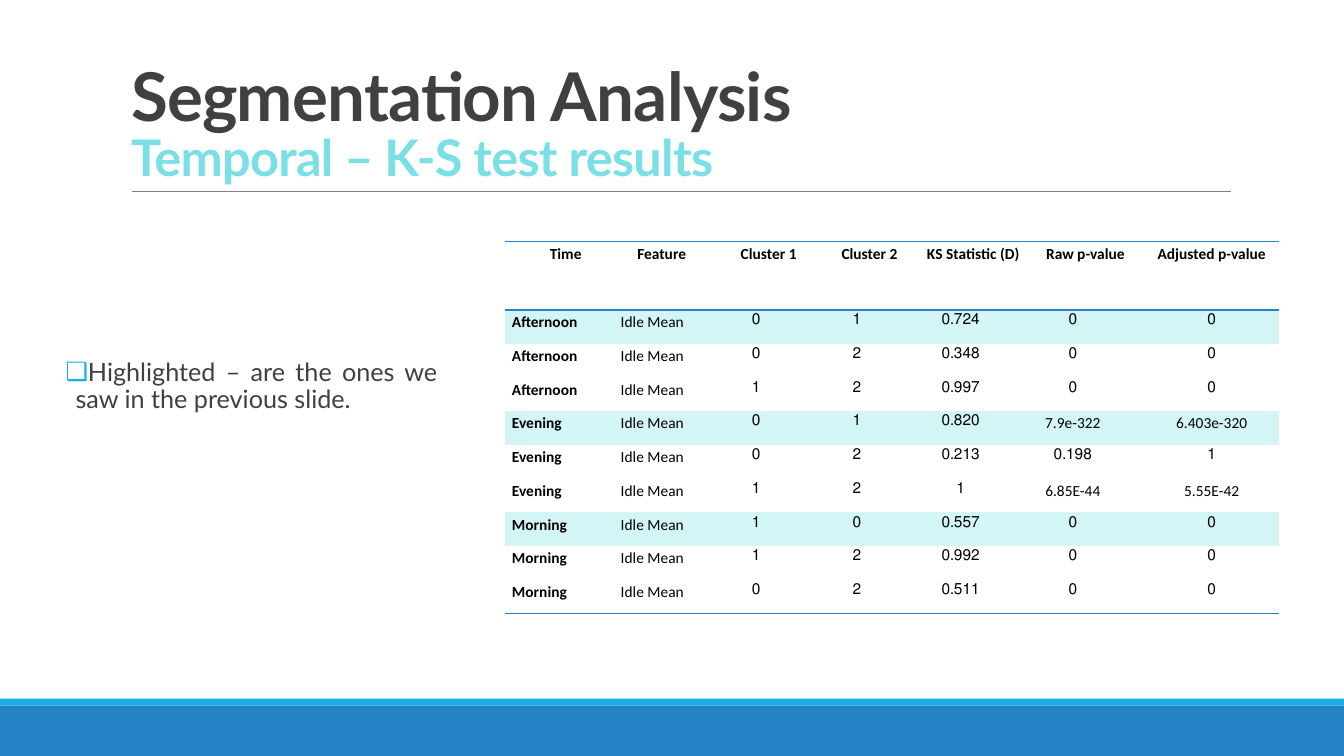
import dataclasses

import lxml.etree
import pptx
import pptx.dml.color
import pptx.enum.shapes
import pptx.enum.text
import pptx.oxml
import pptx.oxml.ns
import pptx.util

Pt = pptx.util.Pt
ALIGN = pptx.enum.text.PP_ALIGN
NO_STYLE_TABLE = "{2D5ABB26-0587-4C30-8999-92F81FD0307C}"


@dataclasses.dataclass(frozen=True)
class Theme:
    blue: str = "2683C6"
    cyan: str = "1CADE4"
    aqua: str = "7AE0E5"
    highlight: str = "D3F5F6"
    ink: str = "404040"
    black: str = "000000"
    rule: str = "808080"
    display_font: str = "Lato"
    table_font: str = "Calibri"
    title_size: float = 48
    subtitle_size: float = 36
    body_size: float = 18
    table_size: float = 11


@dataclasses.dataclass(frozen=True)
class Band:
    top: float
    height: float
    color: str


@dataclasses.dataclass(frozen=True)
class Column:
    heading: str
    width: float
    numeric: bool = True
    indent: float = 18


@dataclasses.dataclass(frozen=True)
class Period:
    name: str
    results: tuple[tuple[str, ...], ...]


THEME = Theme()
BANDS = (Band(504, 36, THEME.blue), Band(499, 5, THEME.cyan))
COLUMNS = (
    Column("Time", 77.7, numeric=False),
    Column("Feature", 74.7, numeric=False),
    Column("Cluster 1", 72),
    Column("Cluster 2", 72),
    Column("KS Statistic (D)", 76.2),
    Column("Raw p-value", 84.1),
    Column("Adjusted p-value", 96.3, indent=0),
)
PERIODS = (
    Period("Afternoon", (
        ("0", "1", "0.724", "0", "0"),
        ("0", "2", "0.348", "0", "0"),
        ("1", "2", "0.997", "0", "0"),
    )),
    Period("Evening", (
        ("0", "1", "0.820", "7.9e-322", "6.403e-320"),
        ("0", "2", "0.213", "0.198", "1"),
        ("1", "2", "1", "6.85E-44", "5.55E-42"),
    )),
    Period("Morning", (
        ("1", "0", "0.557", "0", "0"),
        ("1", "2", "0.992", "0", "0"),
        ("0", "2", "0.511", "0", "0"),
    )),
)
HEADER_HEIGHT = 49
ROW_HEIGHT = 24.1


def rgb(color: str) -> pptx.dml.color.RGBColor:
    return pptx.dml.color.RGBColor.from_string(color)


def format_run(run, font: str, size: float, color: str, bold: bool = False) -> None:
    run.font.name = font
    run.font.size = Pt(size)
    run.font.bold = bold
    run.font.color.rgb = rgb(color)


def place(shape, left: float, top: float, width: float, height: float) -> None:
    shape.left, shape.top = Pt(left), Pt(top)
    shape.width, shape.height = Pt(width), Pt(height)


def draw_band(slide, band: Band) -> None:
    shape = slide.shapes.add_shape(
        pptx.enum.shapes.MSO_SHAPE.RECTANGLE, 0, Pt(band.top), Pt(960), Pt(band.height))
    shape.shadow.inherit = False
    shape.fill.solid()
    shape.fill.fore_color.rgb = rgb(band.color)
    shape.line.fill.background()


def draw_title(slide) -> None:
    title = slide.shapes.title
    place(title, 86.4, 22.3, 792, 114.5)
    frame = title.text_frame
    frame.text = "Segmentation Analysis\vTemporal – K-S test results"
    frame.auto_size = pptx.enum.text.MSO_AUTO_SIZE.NONE
    frame.vertical_anchor = pptx.enum.text.MSO_ANCHOR.BOTTOM
    paragraph = frame.paragraphs[0]
    paragraph.alignment = ALIGN.LEFT
    paragraph.line_spacing = 0.85
    styles = ((THEME.title_size, THEME.ink), (THEME.subtitle_size, THEME.aqua))
    for run, (size, color) in zip(paragraph.runs, styles):
        format_run(run, THEME.display_font, size, color, bold=True)
        run.font._element.set("spc", "-50")


def draw_title_rule(slide) -> None:
    rule = slide.shapes.add_connector(
        pptx.enum.shapes.MSO_CONNECTOR.STRAIGHT, Pt(94.3), Pt(136.8), Pt(879), Pt(136.8))
    rule.line.color.rgb = rgb(THEME.rule)
    rule.line.width = Pt(0.5)
    lxml.etree.SubElement(rule._element.spPr, pptx.oxml.ns.qn("a:effectLst"))


def draw_note(slide) -> None:
    note = slide.placeholders[1]
    place(note, 46.8, 253.4, 265.7, 185.8)
    frame = note.text_frame
    frame.text = "Highlighted – are the ones we saw in the previous slide."
    frame.auto_size = pptx.enum.text.MSO_AUTO_SIZE.NONE
    frame.margin_left = frame.margin_right = 0
    paragraph = frame.paragraphs[0]
    paragraph.alignment = ALIGN.JUSTIFY
    paragraph.line_spacing = 0.9
    paragraph.space_before = Pt(12)
    paragraph.space_after = Pt(2)
    format_run(paragraph.runs[0], THEME.display_font, THEME.body_size, THEME.ink)
    properties = paragraph._p.get_or_add_pPr()
    properties.set("marL", str(Pt(7.2)))
    properties.set("indent", str(Pt(-7.2)))
    bullet_color = lxml.etree.SubElement(properties, pptx.oxml.ns.qn("a:buClr"))
    lxml.etree.SubElement(bullet_color, pptx.oxml.ns.qn("a:srgbClr"), val=THEME.cyan)
    lxml.etree.SubElement(properties, pptx.oxml.ns.qn("a:buChar"), char="❑")


def add_border(cell, side: str) -> None:
    line = pptx.oxml.parse_xml(
        f'<a:{side} {pptx.oxml.ns.nsdecls("a")} w="{Pt(1)}"><a:solidFill>'
        f'<a:srgbClr val="{THEME.blue}"/></a:solidFill></a:{side}>')
    cell._tc.get_or_add_tcPr().insert(0, line)


def write_cell(cell, text: str, alignment, bold: bool, fill: str | None = None):
    cell.margin_left = cell.margin_right = Pt(5)
    cell.margin_top = cell.margin_bottom = 0
    cell.text_frame.text = text
    paragraph = cell.text_frame.paragraphs[0]
    paragraph.alignment = alignment
    paragraph.line_spacing = 1.15
    format_run(paragraph.runs[0], THEME.table_font, THEME.table_size, THEME.black, bold)
    if fill:
        cell.fill.solid()
        cell.fill.fore_color.rgb = rgb(fill)
    else:
        cell.fill.background()
    return paragraph


def draw_results(slide) -> None:
    rows = [(period.name, "Idle Mean", *result)
            for period in PERIODS for result in period.results]
    highlighted = {index * len(period.results) for index, period in enumerate(PERIODS)}
    width = sum(column.width for column in COLUMNS)
    height = HEADER_HEIGHT + ROW_HEIGHT * len(rows)
    table = slide.shapes.add_table(
        len(rows) + 1, len(COLUMNS), Pt(360.7), Pt(172.5), Pt(width), Pt(height)).table
    table._tbl.tblPr.find(pptx.oxml.ns.qn("a:tableStyleId")).text = NO_STYLE_TABLE
    table.horz_banding = False
    for index, row in enumerate(table.rows):
        row.height = Pt(ROW_HEIGHT if index else HEADER_HEIGHT)
    for position, column in enumerate(COLUMNS):
        table.columns[position].width = Pt(column.width)
        header = table.cell(0, position)
        write_cell(header, column.heading, ALIGN.CENTER if column.numeric else ALIGN.RIGHT, True)
        if not column.numeric:
            header.margin_right = Pt(5 + column.indent)
        add_border(header, "lnB")
        add_border(header, "lnT")
        for index, values in enumerate(rows):
            cell = table.cell(index + 1, position)
            paragraph = write_cell(
                cell, values[position], ALIGN.CENTER if column.numeric else ALIGN.LEFT,
                position == 0, THEME.highlight if index in highlighted else None)
            if column.numeric:
                properties = paragraph._p.get_or_add_pPr()
                properties.set("rtl", "1")
                properties.set("marL", str(Pt(column.indent)))
        add_border(table.cell(len(rows), position), "lnB")


def main() -> None:
    presentation = pptx.Presentation()
    presentation.slide_width, presentation.slide_height = Pt(960), Pt(540)
    slide = presentation.slides.add_slide(presentation.slide_layouts[1])
    for band in BANDS:
        draw_band(slide, band)
    draw_title_rule(slide)
    draw_title(slide)
    draw_results(slide)
    draw_note(slide)
    presentation.save("out.pptx")


if __name__ == "__main__":
    main()
